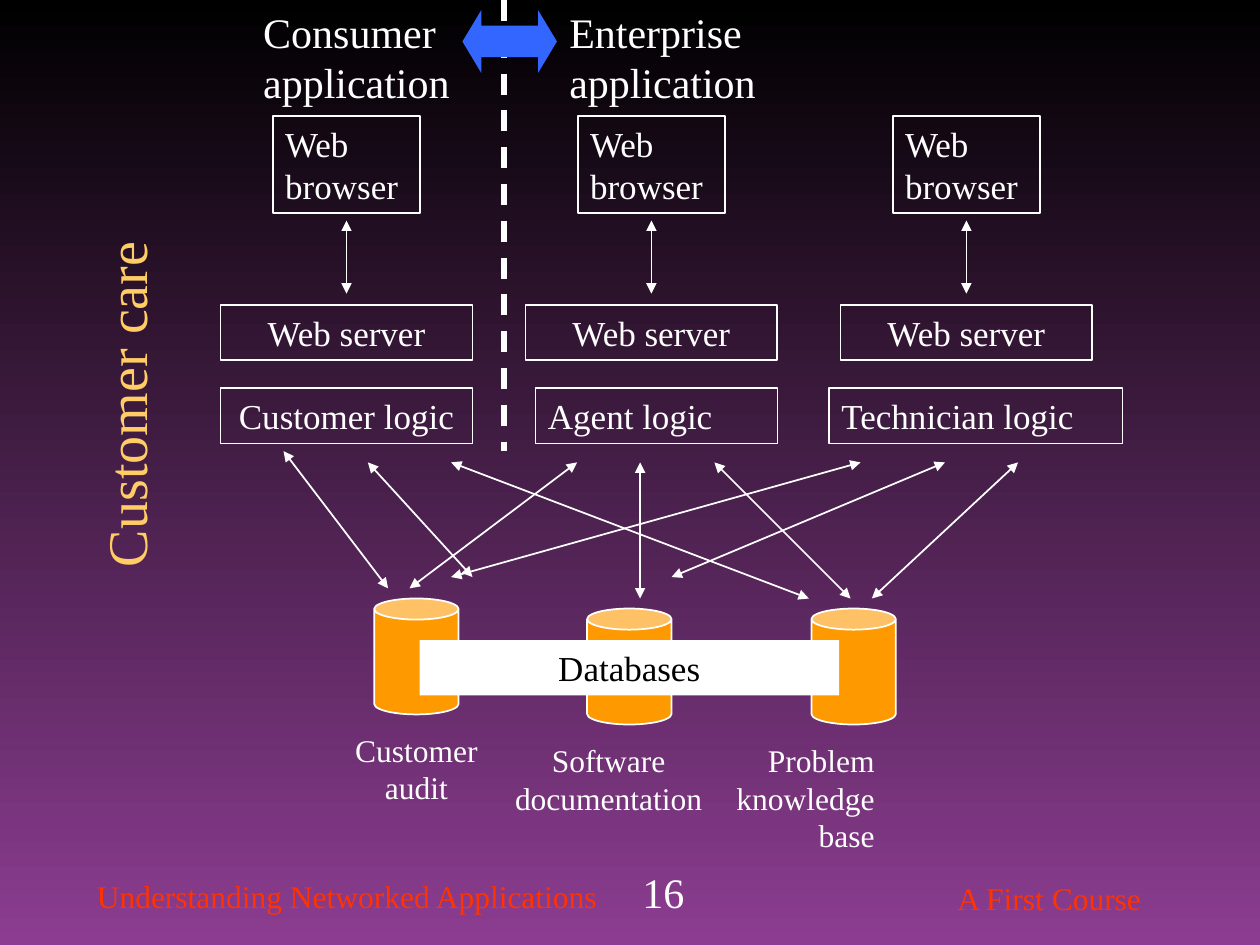
from lxml import etree
from pptx import Presentation
from pptx.dml.color import RGBColor
from pptx.enum import dml, shapes, text
from pptx.oxml import ns
from pptx.util import Inches, Pt

THEME = {
    "font": "Times New Roman",
    "white": "FFFFFF", "black": "000000", "purple": "8C3D91",
    "gold": "FFCC66", "red": "FF3300", "orange": "FF9900", "blue": "3366FF",
    "title": 32, "heading": 24, "box": 20, "label": 18,
    "thin": 0.99, "thick": 3,
}
LEFT, CENTER, RIGHT = text.PP_ALIGN.LEFT, text.PP_ALIGN.CENTER, text.PP_ALIGN.RIGHT

TITLE = "Customer care"
# column centre, logic name, logic left, logic width, logic alignment
COLUMNS = [
    (2.75, "Customer logic", 1.75, 2, CENTER),
    (5.17, "Agent logic", 4.25, 1.92, LEFT),
    (7.67, "Technician logic", 6.58, 2.33, LEFT),
]
# can left, can top, label, label left, label width, label alignment
DATABASES = [
    (2.97, 4.75, "Customer\naudit", 2.72, 1.17, CENTER),
    (4.66, 4.83, "Software\ndocumentation", 3.99, 1.68, CENTER),
    (6.44, 4.83, "Problem\nknowledge\nbase", 5.75, 1.29, RIGHT),
]
# logic end, database end
QUERIES = [
    ((2.25, 3.58), (3.08, 4.67)), ((2.92, 3.67), (3.75, 4.58)),
    ((3.58, 3.67), (6.42, 4.75)), ((4.58, 3.67), (3.25, 4.67)),
    ((5.08, 3.67), (5.08, 4.75)), ((5.67, 3.67), (6.75, 4.75)),
    ((6.83, 3.67), (3.58, 4.58)), ((7.5, 3.67), (5.33, 4.58)),
    ((8.08, 3.67), (6.92, 4.75)),
]
# words, left, top, width, height, size, colour
CAPTIONS = [
    ("Consumer\napplication", 1.99, 0, 1.68, 0.9, "heading", "white"),
    ("Enterprise\napplication", 4.42, 0, 1.68, 0.9, "heading", "white"),
    ("Understanding Networked Applications", 0.67, 6.91, 4.18, 0.4, "label", "red"),
    ("A First Course", 7.5, 6.93, 1.67, 0.4, "label", "red"),
    ("16", 5, 6.83, 1.59, 0.5, "heading", "white"),
]


def color(name):
    """Return a theme colour."""
    return RGBColor.from_string(THEME[name])


def write(part, words, size, ink="white", align=LEFT, snug=False):
    """Put words into a part; snug keeps a side margin only where text starts."""
    frame = part.text_frame
    frame.text = words
    layout = {
        "word_wrap": True, "auto_size": text.MSO_AUTO_SIZE.NONE,
        "vertical_anchor": text.MSO_ANCHOR.TOP,
        "margin_left": Inches(0 if snug and align != LEFT else 0.1),
        "margin_right": Inches(0 if snug and align != RIGHT else 0.1),
        "margin_top": Inches(0.05), "margin_bottom": Inches(0.05),
    }
    for key, value in layout.items():
        setattr(frame, key, value)
    for paragraph in frame.paragraphs:
        paragraph.alignment = align
        font = paragraph.runs[0].font
        font.color.rgb = color(ink)
        for key, value in {"name": THEME["font"], "size": Pt(THEME[size])}.items():
            setattr(font, key, value)


def caption(slide, words, left, top, width, height, size, ink, align=LEFT):
    """Add unboxed text."""
    label = slide.shapes.add_textbox(*map(Inches, (left, top, width, height)))
    write(label, words, size, ink, align, snug=True)


def block(slide, kind, left, top, width, height, fill=None, outline="white"):
    """Add a preset shape with optional fill and outline."""
    part = slide.shapes.add_shape(kind, *map(Inches, (left, top, width, height)))
    part.shadow.inherit = False
    if fill:
        part.fill.solid()
        part.fill.fore_color.rgb = color(fill)
    else:
        part.fill.background()
    if outline:
        part.line.color.rgb = color(outline)
        part.line.width = Pt(THEME["thin"])
    else:
        part.line.fill.background()
    return part


def box(slide, words, left, top, width, height=0.44, align=CENTER,
        ink="white", **paint):
    """Add a rectangle holding words."""
    part = block(slide, shapes.MSO_SHAPE.RECTANGLE, left, top, width, height, **paint)
    write(part, words, "box", ink, align)


def link(slide, start, end, weight="thin", arrows=True):
    """Join two points, with arrowheads at both ends or a dashed stroke."""
    joint = slide.shapes.add_connector(
        shapes.MSO_CONNECTOR.STRAIGHT, *map(Inches, (*start, *end)))
    joint.line.color.rgb = color("white")
    joint.line.width = Pt(THEME[weight])
    if arrows:
        for tag in ("a:headEnd", "a:tailEnd"):
            etree.SubElement(joint.line._ln, ns.qn(tag), type="triangle")
    else:
        joint.line.dash_style = dml.MSO_LINE.DASH
    etree.SubElement(joint._element.spPr, ns.qn("a:effectLst"))


def paint_background(slide):
    """Fade the background from black down to purple."""
    fill = slide.background.fill
    fill.gradient()
    fill.gradient_angle = 270
    for stop, name, position in zip(fill.gradient_stops, ("black", "purple"), (0, 1)):
        stop.color.rgb = color(name)
        stop.position = position


def place_title(slide):
    """Turn the title to run up the left side."""
    title = slide.shapes.title
    place = {"left": -0.39, "top": 2.89, "width": 2.78, "height": 0.64}
    for key, value in place.items():
        setattr(title, key, Inches(value))
    title.rotation = 270
    write(title, TITLE, "title", "gold", snug=True)


def build():
    """Build and save the slide."""
    deck = Presentation()
    deck.slide_width, deck.slide_height = Inches(10), Inches(7.5)
    slide = deck.slides.add_slide(deck.slide_layouts[5])
    paint_background(slide)
    place_title(slide)

    for words in CAPTIONS:
        caption(slide, *words)
    link(slide, (4, 0), (4, 3.58), "thick", arrows=False)
    divider = block(slide, shapes.MSO_SHAPE.LEFT_RIGHT_ARROW, 3.67, 0.08, 0.75, 0.5,
                    fill="blue", outline=None)
    divider.adjustments[1] = 0.3

    for center, logic, left, width, align in COLUMNS:
        box(slide, "Web\nbrowser", center - 0.585, 0.92, 1.17, 0.77, LEFT)
        link(slide, (center, 1.75), (center, 2.33))
        box(slide, "Web server", center - 1, 2.42, 2)
        box(slide, logic, left, 3.08, width, align=align)

    for left, top, label, label_left, label_width, align in DATABASES:
        block(slide, shapes.MSO_SHAPE.CAN, left, top, 0.67, 0.92, fill="orange")
        height = 0.1 + 0.3 * len(label.split("\n"))
        caption(slide, label, label_left, top + 1, label_width, height,
                "label", "white", align)
    box(slide, "Databases", 3.33, 5.08, 3.33, ink="black", fill="white", outline=None)

    for logic_end, database_end in QUERIES:
        link(slide, logic_end, database_end)
    deck.save("out.pptx")


build()
